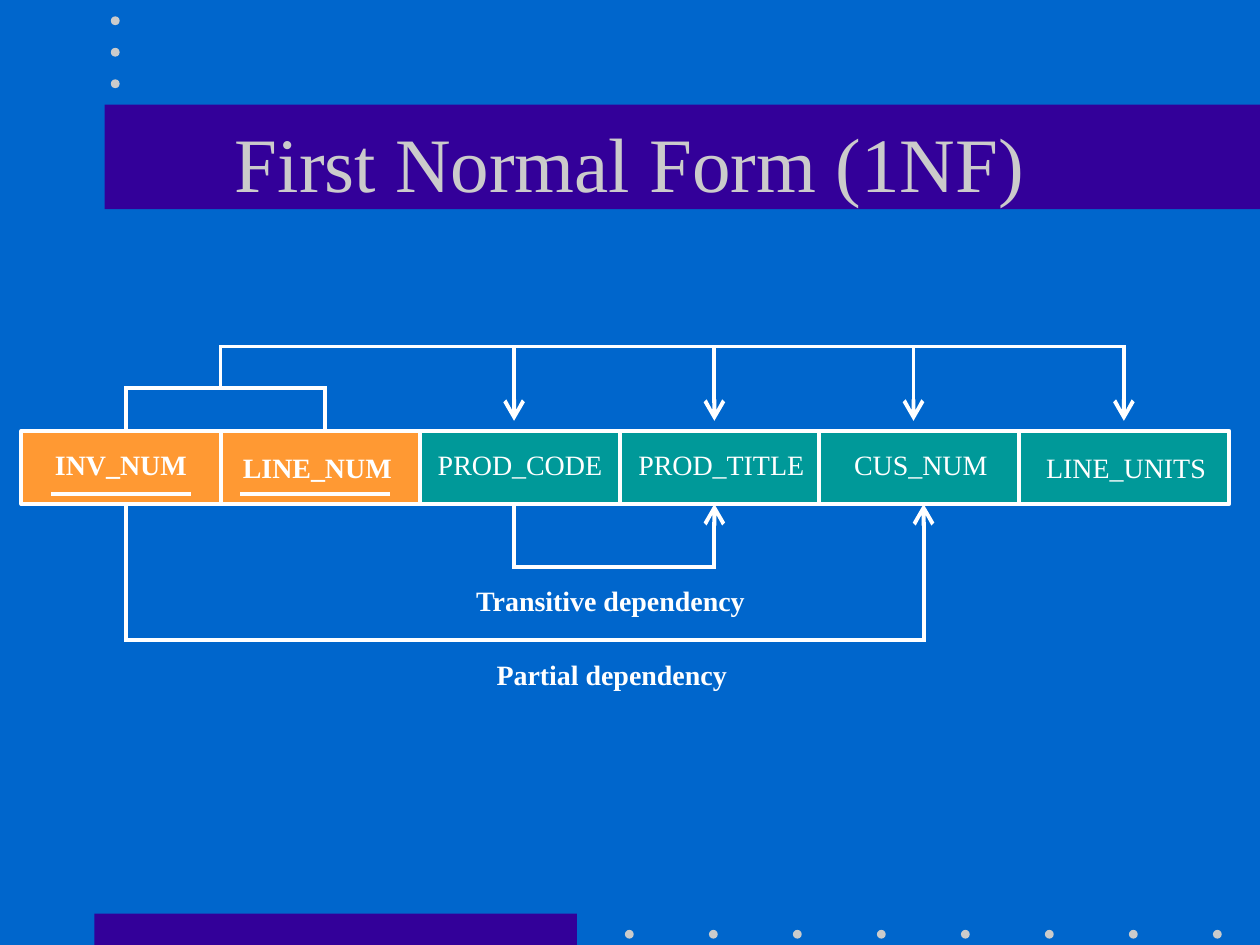
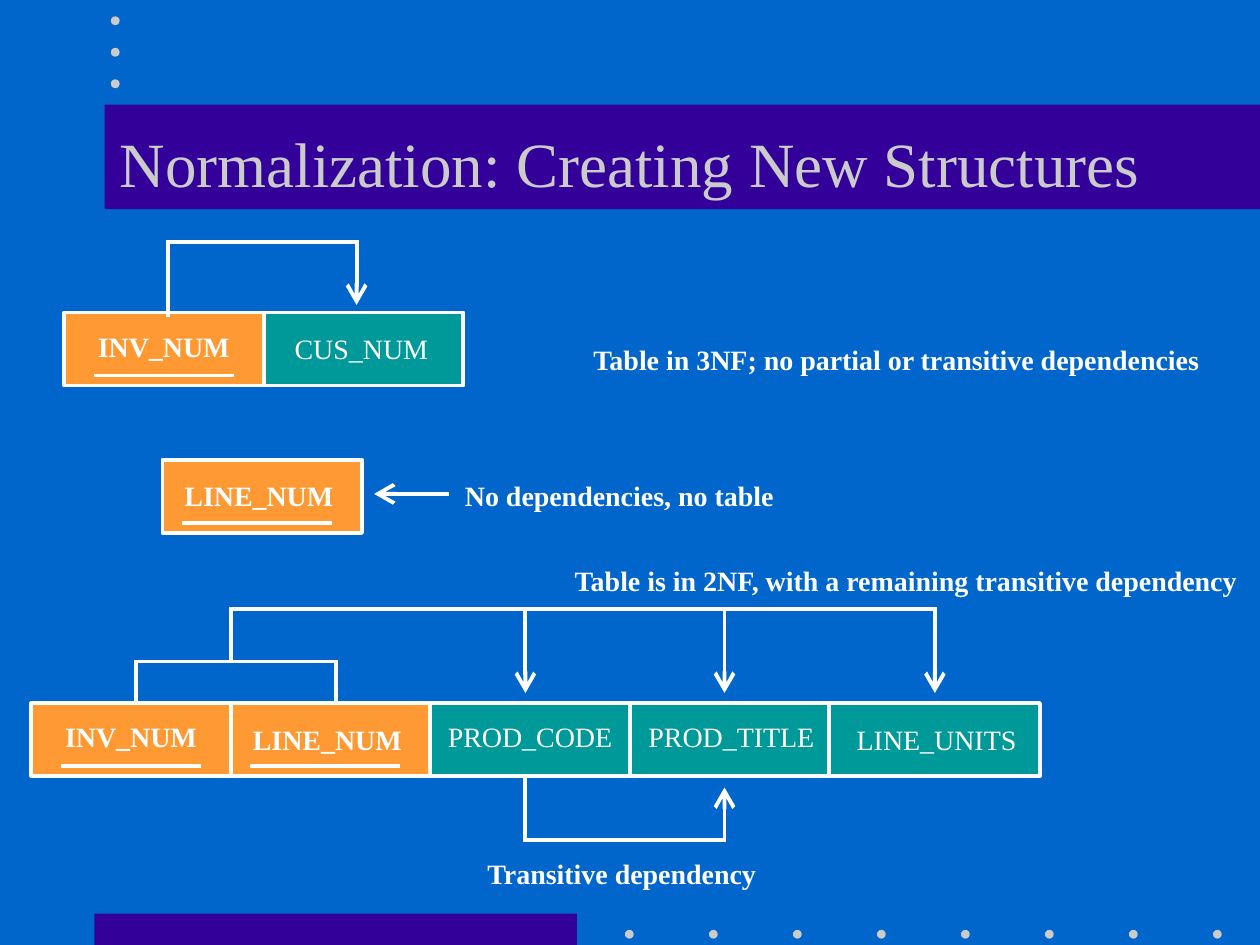
from dataclasses import dataclass, replace

from lxml import etree
from pptx import Presentation
from pptx.dml.color import RGBColor
from pptx.enum.shapes import MSO_CONNECTOR, MSO_SHAPE
from pptx.enum.text import MSO_ANCHOR, MSO_AUTO_SIZE, PP_ALIGN
from pptx.oxml.ns import qn
from pptx.util import Inches, Pt

RECTANGLE = MSO_SHAPE.RECTANGLE
OVAL = MSO_SHAPE.OVAL
STRAIGHT = MSO_CONNECTOR.STRAIGHT
MIDDLE = MSO_ANCHOR.MIDDLE
CENTER = PP_ALIGN.CENTER
FIT_TO_TEXT = MSO_AUTO_SIZE.SHAPE_TO_FIT_TEXT
FIXED_SIZE = MSO_AUTO_SIZE.NONE

BLUE = "0066CC"
INDIGO = "330099"
SILVER = "CBCBCB"
ORANGE = "FF9933"
TEAL = "009999"
WHITE = "FFFFFF"
FONT = "Times New Roman"
LINE_WIDTH = 2.25
TEXT_SIZE = 16
LABEL_HEIGHT = 0.37
FIELD_WIDTH = 19 / 12
FIELD_HEIGHT = 0.58
UNDERLINE_TOP = 0.5
DOT_SIZE = 0.07


@dataclass(frozen=True)
class Field:
    """A table attribute; label and underline offsets start at the cell corner."""
    name: str
    label_left: float
    label_top: float
    label_width: float
    width: float = FIELD_WIDTH
    underline: tuple[float, float] | None = None  # only key fields have one


@dataclass(frozen=True)
class Row:
    left: float
    top: float
    fields: list[Field]


@dataclass(frozen=True)
class Caption:
    text: str
    left: float
    top: float
    width: float


@dataclass(frozen=True)
class Route:
    """A bent line through the given points."""
    points: list[tuple[float, float]]
    arrow: bool = False


INV_NUM = Field("INV_NUM", 0.16, 0.08, 1.26, underline=(0.25, 1.33))
LINE_NUM = Field("LINE_NUM", 0.07, 0.1, 1.39, underline=(0.17, 1.33))
PROD_CODE = Field("PROD_CODE", 0.03, 0.08, 1.52)
PROD_TITLE = Field("PROD_TITLE", 0.04, 0.08, 1.53)
CUS_NUM = Field("CUS_NUM", 0.17, 0.08, 1.27)
LINE_UNITS = Field("LINE_UNITS", 0.11, 0.1, 1.48, width=1.67)


def color(value: str) -> RGBColor:
    return RGBColor.from_string(value)


def add_block(slide, kind, left: float, top: float, width: float, height: float,
              fill: str, outline: str | None = None) -> None:
    shape = slide.shapes.add_shape(
        kind, Inches(left), Inches(top), Inches(width), Inches(height))
    shape.shadow.inherit = False
    shape.fill.solid()
    shape.fill.fore_color.rgb = color(fill)
    if outline:
        shape.line.color.rgb = color(outline)
        shape.line.width = Pt(LINE_WIDTH)
    else:
        shape.line.fill.background()


def add_text(slide, text: str, left: float, top: float, width: float,
             height: float = LABEL_HEIGHT, size: float = TEXT_SIZE,
             fill: str = WHITE, bold: bool = False, wrap: bool = False) -> None:
    box = slide.shapes.add_textbox(
        Inches(left), Inches(top), Inches(width), Inches(height))
    frame = box.text_frame
    frame.word_wrap = wrap
    frame.auto_size = FIXED_SIZE if wrap else FIT_TO_TEXT
    frame.vertical_anchor = MIDDLE
    paragraph = frame.paragraphs[0]
    paragraph.text = text
    paragraph.alignment = CENTER
    paragraph.font.name = FONT
    paragraph.font.size = Pt(size)
    paragraph.font.bold = bold
    paragraph.font.color.rgb = color(fill)


def add_route(slide, route: Route) -> None:
    for start, end in zip(route.points, route.points[1:]):
        connector = slide.shapes.add_connector(
            STRAIGHT, *(Inches(value) for value in (*start, *end)))
        connector.line.color.rgb = color(WHITE)
        connector.line.width = Pt(LINE_WIDTH)
        properties = connector._element.spPr
        outline = properties.get_or_add_ln()
        outline.set("cap", "sq")
        etree.SubElement(properties, qn("a:effectLst"))
    # The arrowhead belongs to the last segment
    if route.arrow:
        etree.SubElement(outline, qn("a:tailEnd"), type="arrow", w="lg", len="lg")


def add_row(slide, row: Row) -> None:
    left = row.left
    for field in row.fields:
        is_key = field.underline is not None
        add_block(slide, RECTANGLE, left, row.top, field.width, FIELD_HEIGHT,
                  ORANGE if is_key else TEAL, WHITE)
        add_text(slide, field.name, left + field.label_left,
                 row.top + field.label_top, field.label_width, bold=is_key)
        if is_key:
            y = row.top + UNDERLINE_TOP
            add_route(slide, Route([(left + x, y) for x in field.underline]))
        left += field.width


def add_base_slide(presentation, title: str, title_size: float):
    slide = presentation.slides.add_slide(presentation.slide_layouts[6])
    slide.background.fill.solid()
    slide.background.fill.fore_color.rgb = color(BLUE)
    # Footer band and its dots
    add_block(slide, RECTANGLE, 0.75, 7.25, 3.83, 0.25, INDIGO)
    for index in range(8):
        add_block(slide, OVAL, 4.96 + index * 2 / 3, 7.38, DOT_SIZE, DOT_SIZE, SILVER)
    # Title band and the dots above it
    add_block(slide, RECTANGLE, 0.83, 0.83, 9.17, 0.83, INDIGO)
    for index in range(3):
        add_block(slide, OVAL, 0.88, 0.13 + index * 0.25, DOT_SIZE, DOT_SIZE, SILVER)
    add_text(slide, title, 0.75, 0.66, 8.5, 1.25, title_size, SILVER, wrap=True)
    return slide


def add_diagram(slide, rows: list[Row], captions: list[Caption],
                routes: list[Route]) -> None:
    for row in rows:
        add_row(slide, row)
    for caption in captions:
        add_text(slide, caption.text, caption.left, caption.top, caption.width, bold=True)
    for route in routes:
        add_route(slide, route)


def key_routes(keys: tuple[float, float], stem: float, targets: list[float],
               trunk_top: float, bracket_top: float, row_top: float) -> list[Route]:
    """Join both keys by a bracket and lead arrows from its stem to the targets."""
    first, second = keys
    return [
        Route([(first, row_top), (first, bracket_top),
               (second, bracket_top), (second, row_top)]),
        Route([(stem, bracket_top), (stem, trunk_top), (targets[-1], trunk_top)]),
        *(Route([(x, trunk_top), (x, row_top - 0.08)], arrow=True) for x in targets),
    ]


def bent_arrow(start: tuple[float, float], bend: float,
               end: tuple[float, float]) -> Route:
    return Route([start, (start[0], bend), (end[0], bend), end], arrow=True)


def build_first_normal_form(presentation) -> None:
    slide = add_base_slide(presentation, "First Normal Form (1NF)", 44)
    add_diagram(
        slide,
        [Row(0.17, 3.42, [INV_NUM, LINE_NUM, PROD_CODE, PROD_TITLE, CUS_NUM, LINE_UNITS])],
        [Caption("Transitive dependency", 3.67, 4.58, 2.35),
         Caption("Partial dependency", 3.84, 5.17, 2.03)],
        [*key_routes((1, 2.58), 1.75, [4.08, 5.67, 7.25, 8.92], 2.75, 3.08, 3.42),
         bent_arrow((4.08, 4), 4.5, (5.67, 4)),
         bent_arrow((1, 4), 5.08, (7.33, 4))])


def build_new_structures(presentation) -> None:
    slide = add_base_slide(presentation, "Normalization: Creating New Structures", 36)
    customer = replace(CUS_NUM, label_left=0.14, label_top=0.1)
    add_diagram(
        slide,
        [Row(0.51, 2.48, [INV_NUM, customer]),
         Row(1.29, 3.65, [LINE_NUM]),
         Row(0.25, 5.58, [INV_NUM, LINE_NUM, PROD_CODE, PROD_TITLE, LINE_UNITS])],
        [Caption("Table in 3NF; no partial or transitive dependencies", 4.6, 2.67, 5.03),
         Caption("No dependencies, no table", 3.59, 3.75, 2.65),
         Caption("Table is in 2NF, with a remaining transitive dependency", 4.44, 4.42, 5.5),
         Caption("Transitive dependency", 3.76, 6.75, 2.35)],
        [bent_arrow((1.33, 2.5), 1.92, (2.83, 2.42)),
         Route([(3.55, 3.92), (2.97, 3.92)], arrow=True),
         *key_routes((1.08, 2.67), 1.83, [4.17, 5.75, 7.42], 4.83, 5.25, 5.58),
         bent_arrow((4.17, 6.17), 6.67, (5.75, 6.25))])


def main() -> None:
    presentation = Presentation()
    presentation.slide_width = Inches(10)
    presentation.slide_height = Inches(7.5)
    build_first_normal_form(presentation)
    build_new_structures(presentation)
    presentation.save("out.pptx")


if __name__ == "__main__":
    main()
